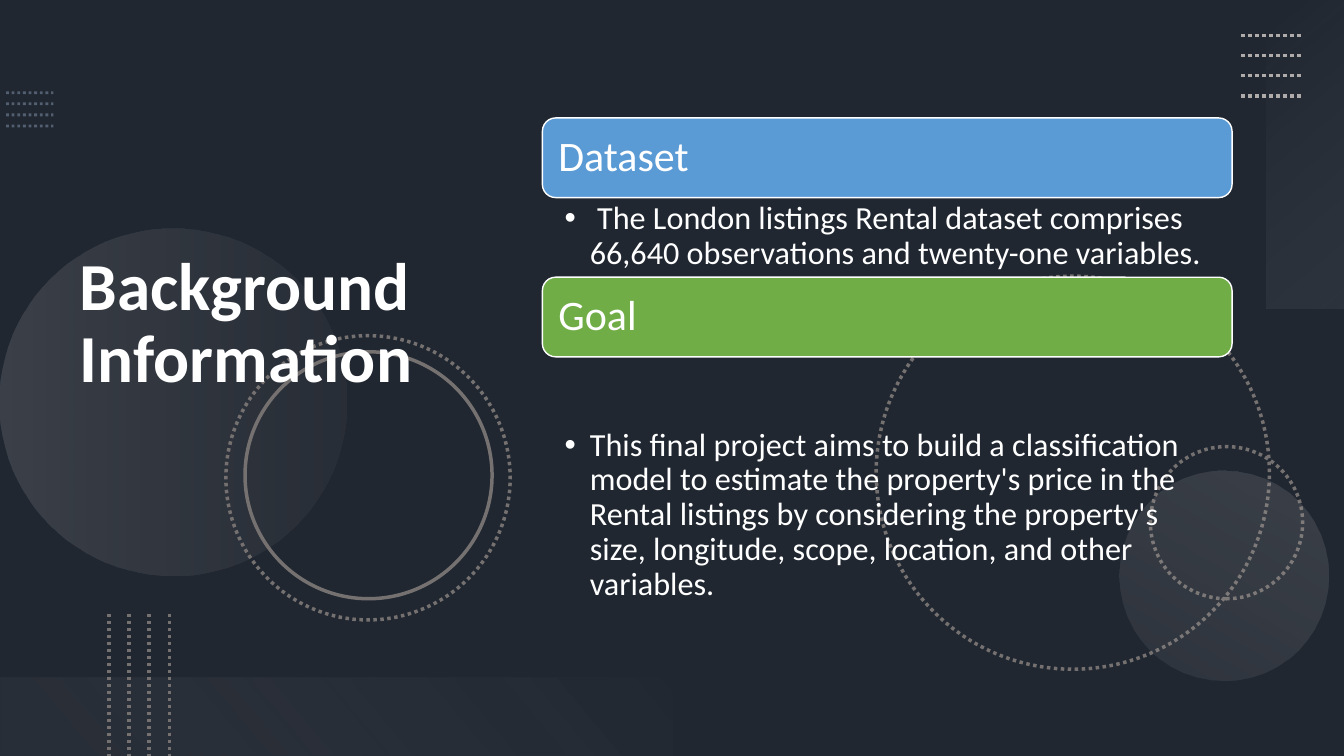
from typing import NamedTuple

from pptx import Presentation
from pptx.dml.color import RGBColor
from pptx.enum import dml, shapes, text
from pptx.oxml import ns, xmlchemy
from pptx.util import Inches, Pt

FONT = "Calibri"
WHITE = "FFFFFF"


class Stop(NamedTuple):
    position: float
    colour: str
    opacity: int


class Panel(NamedTuple):
    box: tuple[float, float, float, float]
    rotation: float
    angle: float
    stops: tuple[Stop, Stop]
    preset: shapes.MSO_SHAPE = shapes.MSO_SHAPE.RECTANGLE


class Ring(NamedTuple):
    left: float
    top: float
    size: float
    rotation: float
    dotted: bool = True


class DotGrid(NamedTuple):
    """Four parallel dotted lines; step is the offset from one to the next."""
    start: tuple[float, float]
    end: tuple[float, float]
    step: tuple[float, float]
    colour: str
    width: float = 2.5
    opacity: int = 100


class Section(NamedTuple):
    heading: str
    colour: str
    top: float
    detail: str
    detail_top: float
    detail_height: float


DISCS = [
    Panel((0, 2.27, 3.44, 3.44), 270, 90,
          (Stop(0, "AFABAB", 20), Stop(1, "767171", 10)), shapes.MSO_SHAPE.OVAL),
    Panel((11.1, 4.67, 2.08, 2.08), 210, 90,
          (Stop(0, "AFABAB", 10), Stop(1, "AFABAB", 20)), shapes.MSO_SHAPE.OVAL),
]
BANDS = [
    Panel((11.42, 1.14, 3.06, 0.78), 270, 140,
          (Stop(0, "F5F5F5", 0), Stop(1, "AFABAB", 10))),
    Panel((0, 6.72, 6.67, 0.78), 180, 140,
          (Stop(0.1, "767171", 10), Stop(1, "F1F0F0", 0))),
]
BACK_RINGS = [Ring(8.69, 2.74, 3.9, 75), Ring(11.41, 4.43, 1.51, 270)]
FRONT_RINGS = [Ring(2.24, 3.33, 2.82, 75), Ring(2.43, 3.49, 2.45, 75, False)]
DOT_GRIDS = [
    DotGrid((0.06, 0.92), (0.53, 0.92), (0, 0.11), "8497B0", 2, 50),
    DotGrid((12.31, 0.35), (12.91, 0.35), (0, 0.2), "AFABAB"),
    DotGrid((1.08, 6.09), (1.08, 7.5), (0.2, 0), "767171"),
]
SECTIONS = [
    Section("Dataset", "5B9BD5", 1.17,
            " The London listings Rental dataset comprises 66,640 observations "
            "and twenty-one variables.", 1.96, 0.8),
    Section("Goal", "70AD47", 2.75,
            "This final project aims to build a classification model to estimate "
            "the property's price in the Rental listings by considering the "
            "property's size, longitude, scope, location, and other variables.",
            4.21, 2.27),
]


def rgb(colour: str) -> RGBColor:
    return RGBColor.from_string(colour)


def set_opacity(parent: xmlchemy.BaseOxmlElement, percent: int) -> None:
    """Add an alpha value to the first colour found under parent."""
    colour = next(parent.iter(ns.qn("a:srgbClr")))
    alpha = colour.makeelement(ns.qn("a:alpha"), {"val": str(percent * 1000)})
    colour.append(alpha)


def add_shape(preset, box, rotation=0):
    shape = slide.shapes.add_shape(preset, *map(Inches, box))
    shape.shadow.inherit = False
    shape.rotation = rotation
    return shape


def add_panel(panel: Panel) -> None:
    shape = add_shape(panel.preset, panel.box, panel.rotation)
    shape.line.fill.background()
    shape.fill.gradient()
    shape.fill.gradient_angle = 360 - panel.angle
    stops = zip(shape.fill.gradient_stops, panel.stops)
    elements = shape.element.iter(ns.qn("a:gs"))
    for (target, stop), element in zip(stops, elements):
        target.position = stop.position
        target.color.rgb = rgb(stop.colour)
        set_opacity(element, stop.opacity)


def add_ring(ring: Ring) -> None:
    box = (ring.left, ring.top, ring.size, ring.size)
    shape = add_shape(shapes.MSO_SHAPE.OVAL, box, ring.rotation)
    shape.fill.background()
    shape.line.color.rgb = rgb("767171")
    shape.line.width = Pt(2.5)
    if ring.dotted:
        shape.line.dash_style = dml.MSO_LINE.ROUND_DOT


def add_dot_grid(grid: DotGrid) -> None:
    for i in range(4):
        dx, dy = (i * offset for offset in grid.step)
        points = (grid.start[0] + dx, grid.start[1] + dy,
                  grid.end[0] + dx, grid.end[1] + dy)
        dots = slide.shapes.add_connector(
            shapes.MSO_CONNECTOR.STRAIGHT, *map(Inches, points))
        dots.line.color.rgb = rgb(grid.colour)
        dots.line.width = Pt(grid.width)
        dots.line.dash_style = dml.MSO_LINE.ROUND_DOT
        if grid.opacity < 100:
            set_opacity(dots.element.spPr, grid.opacity)
        properties = dots.element.spPr
        properties.append(properties.makeelement(ns.qn("a:effectLst"), {}))


def write(frame, wording: str, size: float, anchor, insets, bold=False, bullet=False) -> None:
    frame.word_wrap = True
    frame.auto_size = text.MSO_AUTO_SIZE.NONE
    frame.vertical_anchor = anchor
    frame.margin_left, frame.margin_top, frame.margin_right, frame.margin_bottom = map(
        Inches, insets)
    paragraph = frame.paragraphs[0]
    paragraph.alignment = text.PP_ALIGN.LEFT
    paragraph.line_spacing = 0.9
    paragraph.space_before = Pt(0)
    if bullet:
        paragraph.level = 1
        properties = paragraph._p.get_or_add_pPr()
        properties.set("marL", str(Inches(0.25)))
        properties.set("indent", str(Inches(-0.25)))
        properties.append(properties.makeelement(ns.qn("a:buChar"), {"char": "•"}))
    run = paragraph.add_run()
    run.text = wording
    run.font.name = FONT
    run.font.size = Pt(size)
    run.font.bold = bold
    run.font.color.rgb = rgb(WHITE)


def place(placeholder, box) -> None:
    """Position a placeholder and bring it to the front."""
    placeholder.left, placeholder.top, placeholder.width, placeholder.height = map(
        Inches, box)
    placeholder.element.getparent().append(placeholder.element)


def add_section(section: Section, body) -> None:
    header = add_shape(shapes.MSO_SHAPE.ROUNDED_RECTANGLE, (5.38, section.top, 6.84, 0.79))
    header.fill.solid()
    header.fill.fore_color.rgb = rgb(section.colour)
    header.line.color.rgb = rgb(WHITE)
    header.line.width = Pt(1)
    write(header.text_frame, section.heading, 30, text.MSO_ANCHOR.MIDDLE,
          (0.12, 0.12, 0.12, 0.12))
    place(body, (5.38, section.detail_top, 6.84, section.detail_height))
    write(body.text_frame, section.detail, 23, text.MSO_ANCHOR.TOP,
          (0.22, 0.04, 0.23, 0.04), bullet=True)


deck = Presentation()
deck.slide_width, deck.slide_height = Inches(13.33), Inches(7.5)
slide = deck.slides.add_slide(deck.slide_layouts.get_by_name("Two Content"))
title, *bodies = slide.placeholders
slide.background.fill.solid()
slide.background.fill.fore_color.rgb = rgb("44546A")

shade = add_shape(shapes.MSO_SHAPE.RECTANGLE, (0, 0, 13.33, 7.5))
shade.fill.solid()
shade.fill.fore_color.rgb = rgb("000000")
set_opacity(shade.element.spPr, 53)
shade.line.fill.background()

for rings, panels in ((BACK_RINGS, DISCS), (FRONT_RINGS, BANDS)):
    for ring in rings:
        add_ring(ring)
    for panel in panels:
        add_panel(panel)
for grid in DOT_GRIDS:
    add_dot_grid(grid)

place(title, (0.69, 0.54, 4.59, 5.36))
write(title.text_frame, "Background Information", 48, text.MSO_ANCHOR.MIDDLE,
      (0.1, 0.05, 0.1, 0.05), bold=True)
for section, body in zip(SECTIONS, bodies):
    add_section(section, body)

deck.save("out.pptx")
